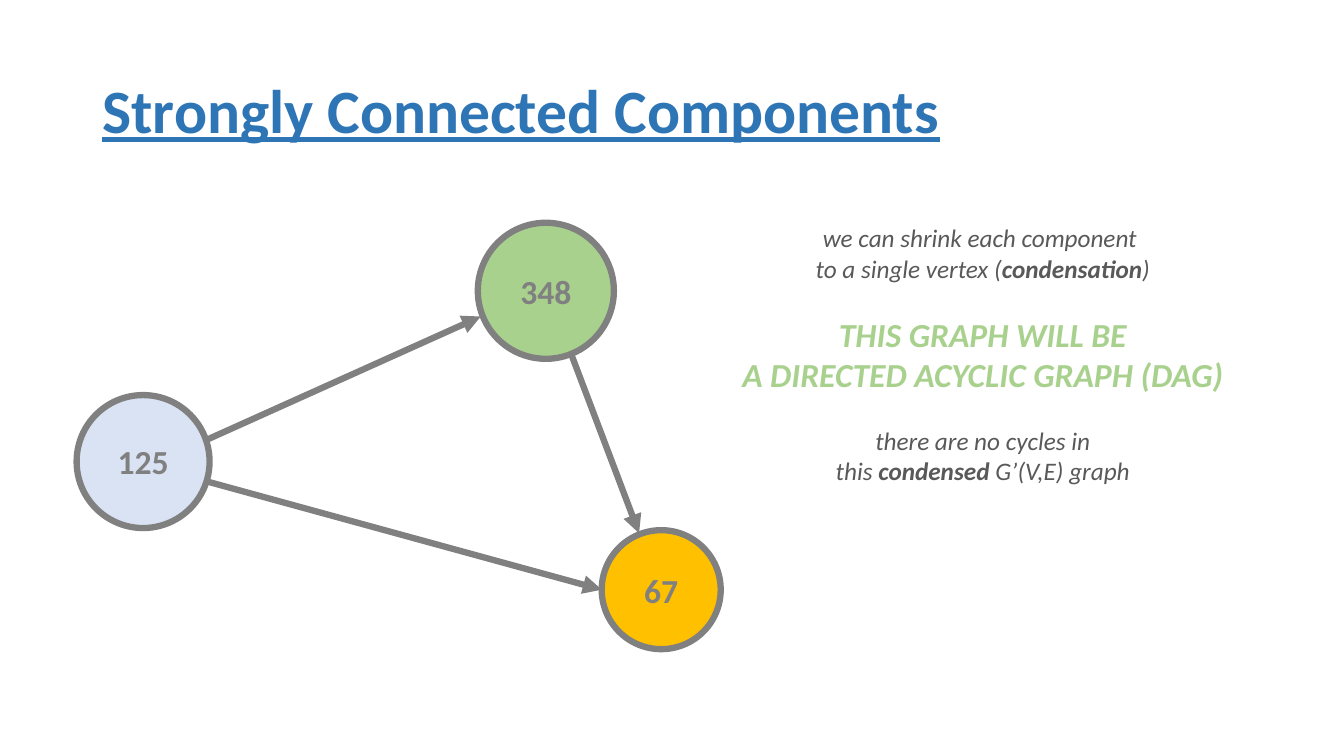
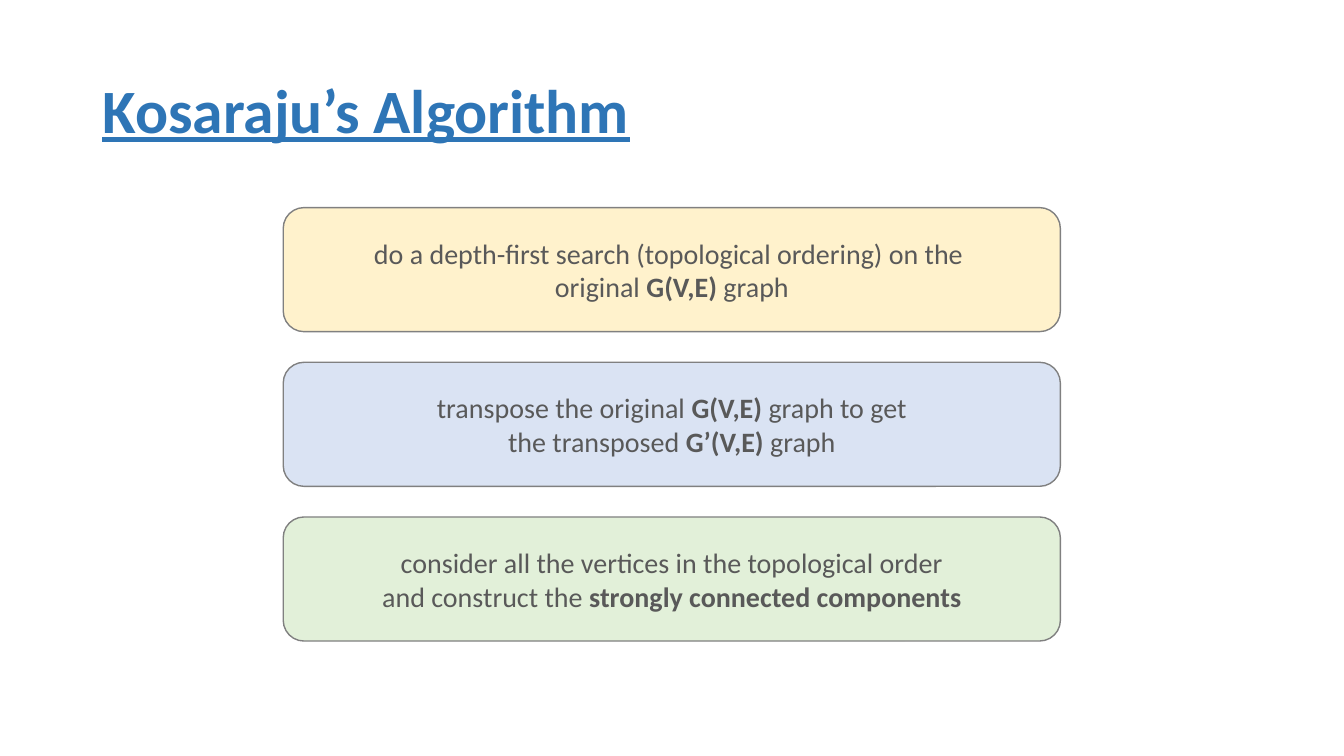
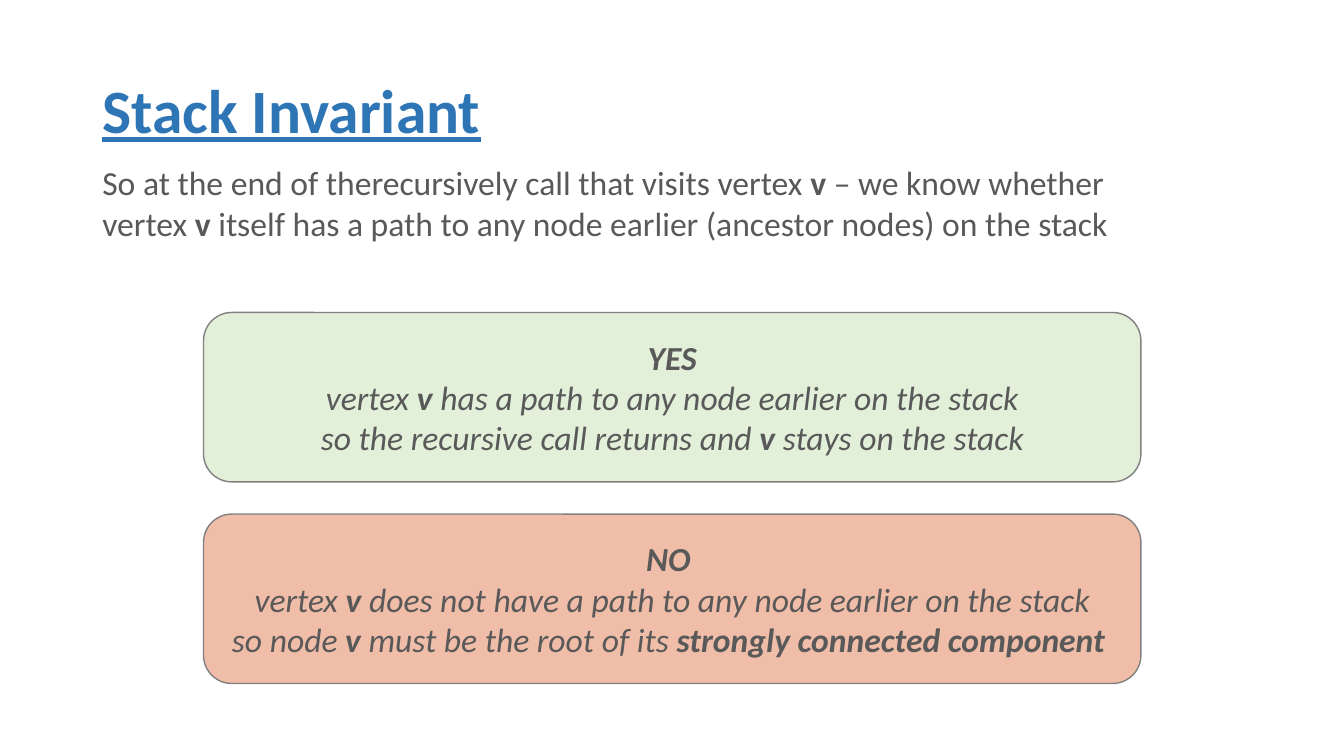
"""Build three slides on strongly connected components and Kosaraju's algorithm."""
from lxml.etree import SubElement
from pptx import Presentation
from pptx.dml.color import RGBColor
from pptx.enum.shapes import MSO_CONNECTOR, MSO_SHAPE
from pptx.enum.text import MSO_ANCHOR, MSO_AUTO_SIZE, PP_ALIGN
from pptx.oxml.ns import qn
from pptx.util import Pt

FONT = "Calibri"
COLORS = {
    "title": "2E75B6", "text": "595959", "outline": "808080",
    "green": "A9D18E", "amber": "FFC000", "pale_blue": "DAE3F3",
    "pale_yellow": "FFF2CC", "pale_green": "E2F0D9", "salmon": "F0BDA8",
}

COMPONENTS_TITLE = "Strongly Connected Components"
NODES = [
    ("67", 429.8, 378.7, 85, "amber"),
    ("125", 54.7, 282.2, 95, "pale_blue"),
    ("348", 341.3, 159.1, 97.2, "green"),
]
EDGES = [
    (106.6, 332.6, 343.4, 226.1),
    (106.6, 332.6, 429.8, 421.2),
    (391, 208, 456.5, 380.9),
]
CONDENSATION = [
    (["we can shrink each component ",
      "to a single vertex (**condensation**)"], 18, "text"),
    (["**THIS GRAPH WILL BE**",
      "**A DIRECTED ACYCLIC GRAPH (DAG)**"], 24, "green"),
    (["there are no cycles in",
      "this **condensed** G’(V,E) graph"], 18, "text"),
]

KOSARAJU_TITLE = "Kosaraju’s Algorithm"
STEPS = [
    ("pale_yellow", ["do a depth-first search (topological ordering) on the ",
                     "original **G(V,E)** graph"]),
    ("pale_blue", ["transpose the original **G(V,E)** graph to get",
                   "the transposed **G’(V,E)** graph"]),
    ("pale_green", ["consider all the vertices in the topological order",
                    "and construct the **strongly connected components**"]),
]

STACK_TITLE = "Stack Invariant"
STACK_INTRO = [
    "So at the end of therecursively call that visits vertex **v **– we know whether",
    "vertex **v **itself has a path to any node earlier (ancestor nodes) on the stack",
]
OUTCOMES = [
    ("pale_green", ["**YES**",
                    "vertex **v** has a path to any node earlier on the stack",
                    "so the recursive call returns and **v** stays on the stack"]),
    ("salmon", ["**NO **",
                "vertex **v** does not have a path to any node earlier on the stack",
                "so node **v** must be the root of its **strongly connected component **"]),
]


def rgb(name):
    return RGBColor.from_string(COLORS[name])


def style_run(r, size, color, bold=False, italic=False):
    r.font.name, r.font.size = FONT, Pt(size)
    r.font.bold, r.font.italic = bold, italic
    r.font.color.rgb = rgb(color)


def write_lines(tf, lines, size, color="text", italic=False,
                align=PP_ALIGN.CENTER, gap=0):
    for i, line in enumerate(lines):
        p = tf.paragraphs[0] if not tf.text else tf.add_paragraph()
        p.alignment = align
        if i == 0 and gap:
            p.space_before = Pt(gap)
        for part, text in enumerate(line.split("**")):
            if text:
                r = p.add_run()
                r.text = text
                style_run(r, size, color, part % 2 == 1, italic)


def add_slide(prs, title):
    s = prs.slides.add_slide(prs.slide_layouts[5])
    sp = s.shapes.title
    sp.left, sp.top, sp.width, sp.height = Pt(66), Pt(28.8), Pt(828), Pt(104.4)
    tf = sp.text_frame
    tf.text = title
    tf.auto_size = MSO_AUTO_SIZE.NONE
    tf.vertical_anchor = MSO_ANCHOR.MIDDLE
    p = tf.paragraphs[0]
    p.alignment, p.line_spacing = PP_ALIGN.LEFT, 0.9
    style_run(p.runs[0], 44, "title", bold=True)
    p.runs[0].font.underline = True
    return s


def add_text_box(s, left, top, width, height):
    tf = s.shapes.add_textbox(Pt(left), Pt(top), Pt(width), Pt(height)).text_frame
    tf.word_wrap = True
    return tf


def add_filled(s, kind, left, top, width, height, fill, line_width):
    sp = s.shapes.add_shape(kind, Pt(left), Pt(top), Pt(width), Pt(height))
    sp.shadow.inherit = False
    sp.fill.solid()
    sp.fill.fore_color.rgb = rgb(fill)
    sp.line.color.rgb = rgb("outline")
    sp.line.width = Pt(line_width)
    sp.text_frame.vertical_anchor = MSO_ANCHOR.MIDDLE
    return sp.text_frame


def add_arrow(s, *ends):
    line = s.shapes.add_connector(MSO_CONNECTOR.STRAIGHT, *map(Pt, ends))
    line.line.color.rgb = rgb("outline")
    line.line.width = Pt(4.5)
    SubElement(line.line._get_or_add_ln(), qn("a:tailEnd"), type="triangle")
    SubElement(line._element.spPr, qn("a:effectLst"))


def add_cards(s, cards, left, top, width, height, pitch, size, italic=False):
    for i, (fill, lines) in enumerate(cards):
        tf = add_filled(s, MSO_SHAPE.ROUNDED_RECTANGLE, left, top + i * pitch,
                        width, height, fill, 1)
        write_lines(tf, lines, size, italic=italic)


prs = Presentation()
prs.slide_width, prs.slide_height = Pt(960), Pt(540)

s = add_slide(prs, COMPONENTS_TITLE)
for edge in EDGES:
    add_arrow(s, *edge)
for label, left, top, size, fill in NODES:
    tf = add_filled(s, MSO_SHAPE.OVAL, left, top, size, size, fill, 4.5)
    write_lines(tf, [f"**{label}**"], 24, "outline")
tf = add_text_box(s, 521.3, 155.5, 361.4, 220.3)
for i, (lines, size, color) in enumerate(CONDENSATION):
    write_lines(tf, lines, size, color, italic=True, gap=22 if i else 0)

s = add_slide(prs, KOSARAJU_TITLE)
add_cards(s, STEPS, 202.3, 148.3, 555.1, 88.6, 110.5, 20)

s = add_slide(prs, STACK_TITLE)
tf = add_text_box(s, 66, 112.3, 739.4, 152.6)
write_lines(tf, STACK_INTRO, 24, align=PP_ALIGN.LEFT)
add_cards(s, OUTCOMES, 145.4, 223.2, 669.6, 121, 144, 24, italic=True)

prs.save("out.pptx")
